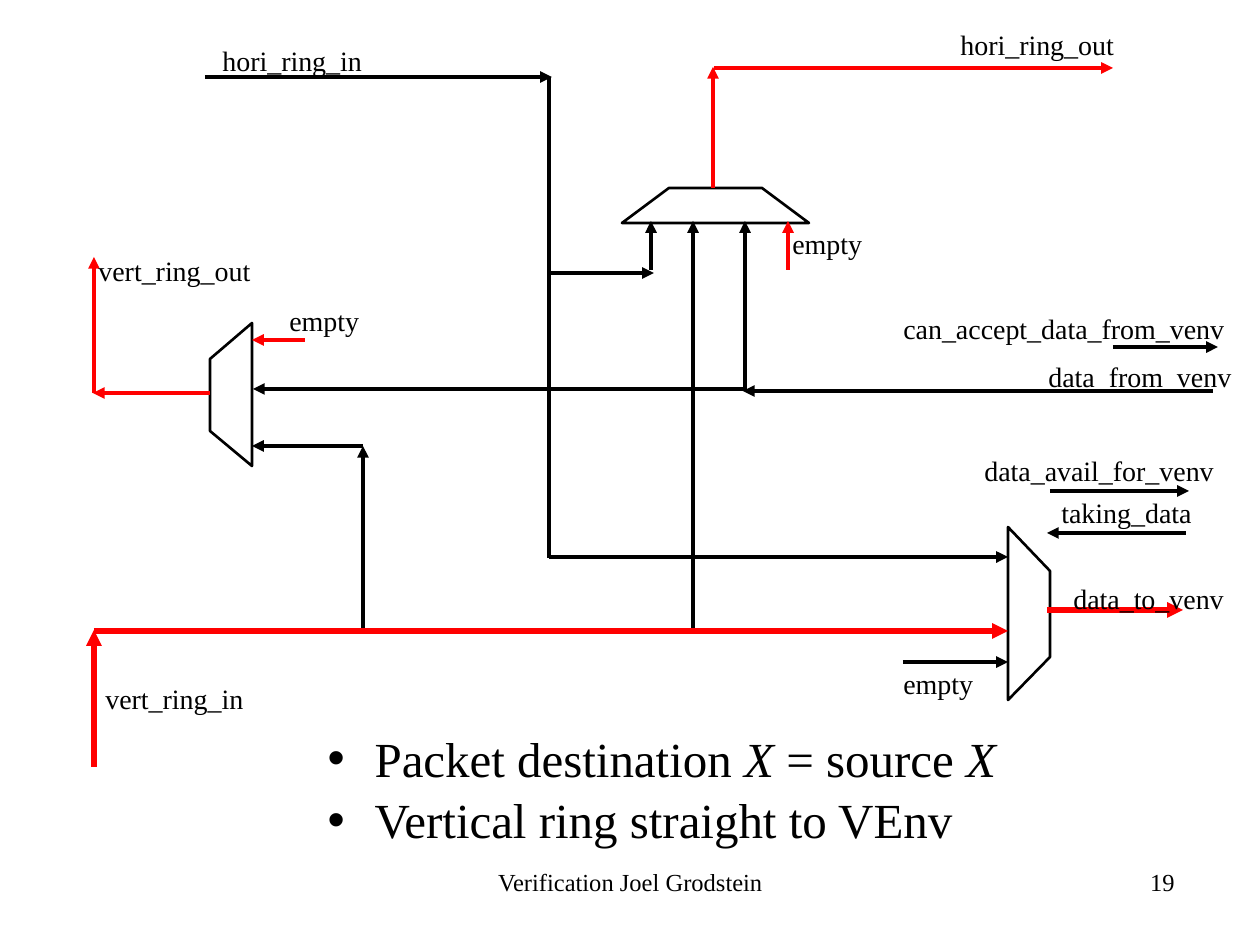
from dataclasses import dataclass

from lxml import etree
from pptx import Presentation
from pptx.dml.color import RGBColor
from pptx.enum.shapes import MSO_CONNECTOR
from pptx.enum.text import MSO_ANCHOR, MSO_AUTO_SIZE, PP_ALIGN
from pptx.oxml.ns import qn
from pptx.util import Emu, Pt

STRAIGHT = MSO_CONNECTOR.STRAIGHT
TOP = MSO_ANCHOR.TOP
NO_AUTOFIT = MSO_AUTO_SIZE.NONE
LEFT, CENTER, RIGHT = PP_ALIGN.LEFT, PP_ALIGN.CENTER, PP_ALIGN.RIGHT
EMU_PER_PX = 914400 / 126


def px(value):
    return Emu(round(value * EMU_PER_PX))


@dataclass(frozen=True)
class Theme:
    font: str = "Times New Roman"
    ink: RGBColor = RGBColor(0, 0, 0)
    active: RGBColor = RGBColor(255, 0, 0)
    label_size: float = 16
    footer_size: float = 14
    list_size: float = 28
    outline: float = 1.5
    wire: float = 2.25
    bold_wire: float = 3


def set_values(target, values):
    for name, value in values.items():
        setattr(target, name, value)


class Diagram:
    def __init__(self, slide, theme):
        self.slide = slide
        self.theme = theme

    def style_run(self, run, size, italic=False):
        set_values(run.font, {"name": self.theme.font, "size": Pt(size), "italic": italic})
        run.font.color.rgb = self.theme.ink

    def text(self, words, left, top, width, height=47, size=None, align=LEFT):
        box = self.slide.shapes.add_textbox(px(left), px(top), px(width), px(height))
        set_values(box.text_frame, {"word_wrap": True, "vertical_anchor": TOP})
        paragraph = box.text_frame.paragraphs[0]
        paragraph.alignment = align
        run = paragraph.add_run()
        run.text = words
        self.style_run(run, size or self.theme.label_size)

    def wire(self, start, end, color=None, width=None, arrow=True):
        connector = self.slide.shapes.add_connector(STRAIGHT, *map(px, start + end))
        connector.line.color.rgb = color or self.theme.ink
        connector.line.width = Pt(width or self.theme.wire)
        properties = connector._element.spPr
        if arrow:
            etree.SubElement(properties.find(qn("a:ln")), qn("a:tailEnd"), type="triangle")
        etree.SubElement(properties, qn("a:effectLst"))

    def multiplexer(self, *corners):
        builder = self.slide.shapes.build_freeform(*corners[0], scale=EMU_PER_PX)
        builder.add_line_segments(corners[1:], close=True)
        shape = builder.convert_to_shape()
        shape.shadow.inherit = False
        shape.fill.background()
        shape.line.color.rgb = self.theme.ink
        shape.line.width = Pt(self.theme.outline)

    def bullets(self, items, left, top, width, height, indent):
        body = self.slide.placeholders[1]
        set_values(body, {"left": px(left), "top": px(top),
                          "width": px(width), "height": px(height)})
        frame = body.text_frame
        set_values(frame, {"word_wrap": True, "vertical_anchor": TOP, "auto_size": NO_AUTOFIT})
        for index, parts in enumerate(items):
            paragraph = frame.add_paragraph() if index else frame.paragraphs[0]
            set_values(paragraph, {"space_before": Pt(1.5 if index else 0), "alignment": LEFT})
            properties = paragraph._p.get_or_add_pPr()
            properties.set("marL", str(px(indent)))
            properties.set("indent", str(-px(indent)))
            etree.SubElement(properties, qn("a:buChar"), char="•")
            for words, italic in parts:
                run = paragraph.add_run()
                run.text = words
                self.style_run(run, self.theme.list_size, italic)


MULTIPLEXERS = [
    [(1008, 700), (1050, 657), (1050, 571), (1008, 527)],
    [(252, 466), (210, 431), (210, 359), (252, 323)],
    [(622, 223), (669, 188), (762, 188), (809, 223)],
]

BLACK_WIRES = [
    ((205, 77), (552, 77)),
    ((549, 557), (1008, 557)),
    ((903, 662), (1008, 662)),
    ((363, 446), (252, 446)),
    ((363, 634), (363, 446)),
    ((693, 630), (693, 221)),
    ((745, 389), (745, 221)),
    ((549, 273), (654, 273)),
    ((651, 270), (651, 221)),
    ((1213, 391), (743, 391)),
    ((747, 389), (253, 389)),
    ((1186, 533), (1047, 533)),
    ((1050, 491), (1189, 491)),
    ((1113, 347), (1218, 347)),
]

RED_WIRES = [
    ((94, 393), (94, 257)),
    ((210, 393), (93, 393)),
    ((305, 340), (252, 340)),
    ((788, 270), (788, 221)),
    ((713, 188), (713, 67)),
    ((714, 68), (1113, 68)),
]

BOLD_RED_WIRES = [
    ((94, 767), (94, 630)),
    ((1047, 610), (1183, 610)),
    ((94, 631), (1008, 631)),
]

LABELS = [
    ("vert_ring_in", 93, 675, 166),
    ("vert_ring_out", 86, 247, 180),
    ("hori_ring_out", 948, 21, 197),
    ("hori_ring_in", 210, 37, 168),
    ("data_to_venv", 1061, 575, 178),
    ("empty", 891, 660, 106),
    ("empty", 277, 297, 110),
    ("empty", 780, 220, 118),
    ("data_from_venv", 1036, 353, 214),
    ("taking_data", 1049, 489, 164),
    ("data_avail_for_venv", 972, 447, 262),
    ("can_accept_data_from_venv", 891, 305, 353),
]

BULLETS = [
    [("Packet destination ", False), ("X", True), (" = source ", False), ("X", True)],
    [("Vertical ring straight to VEnv", False)],
]


def main():
    presentation = Presentation()
    set_values(presentation, {"slide_width": px(1260), "slide_height": px(945)})
    slide = presentation.slides.add_slide(presentation.slide_layouts[1])
    title = slide.shapes.title._element
    title.getparent().remove(title)
    theme = Theme()
    diagram = Diagram(slide, theme)

    for corners in MULTIPLEXERS:
        diagram.multiplexer(*corners)
    for start, end in BLACK_WIRES:
        diagram.wire(start, end)
    diagram.wire((549, 77), (549, 558), arrow=False)
    for start, end in RED_WIRES:
        diagram.wire(start, end, theme.active)
    for start, end in BOLD_RED_WIRES:
        diagram.wire(start, end, theme.active, theme.bold_wire)
    for label in LABELS:
        diagram.text(*label)

    diagram.bullets(BULLETS, 315, 722, 721, 131, indent=47)
    diagram.text("Verification Joel Grodstein", 431, 861, 399, 63, theme.footer_size, CENTER)
    diagram.text("19", 788, 861, 399, 63, theme.footer_size, RIGHT)
    presentation.save("out.pptx")


if __name__ == "__main__":
    main()
